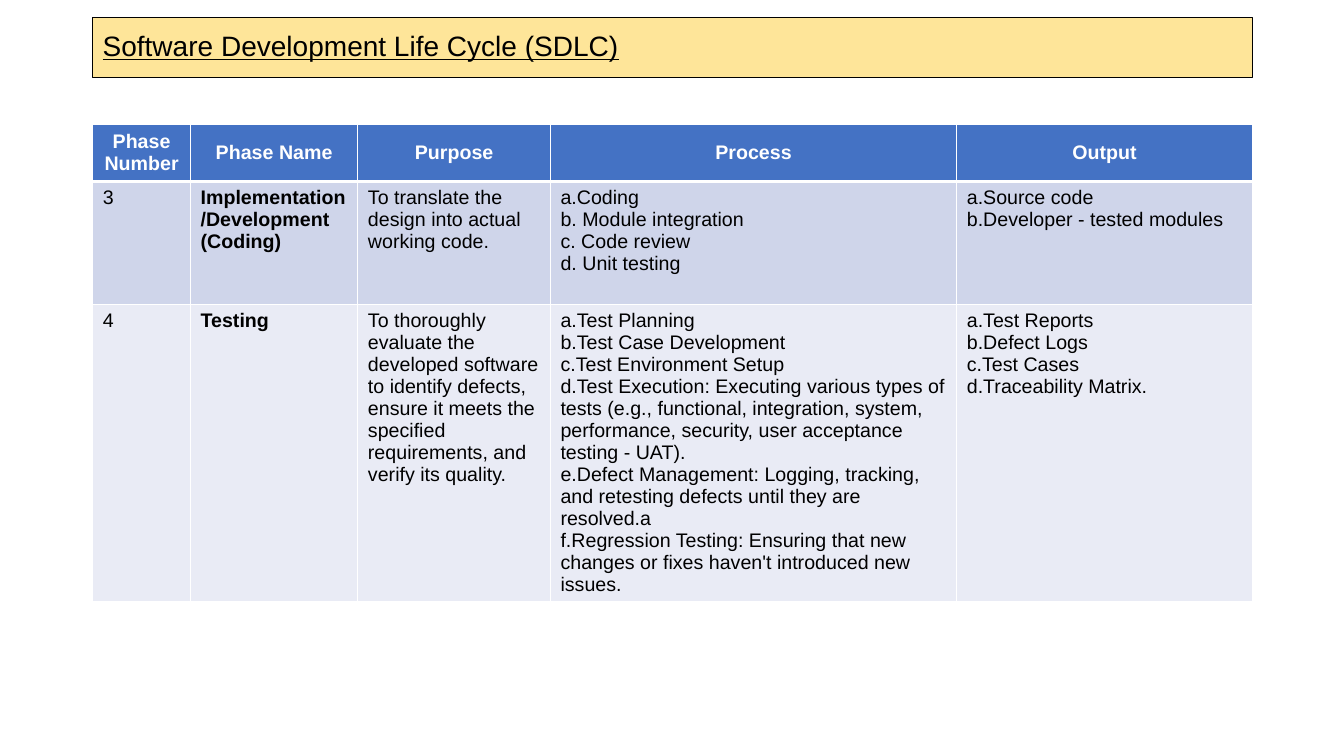
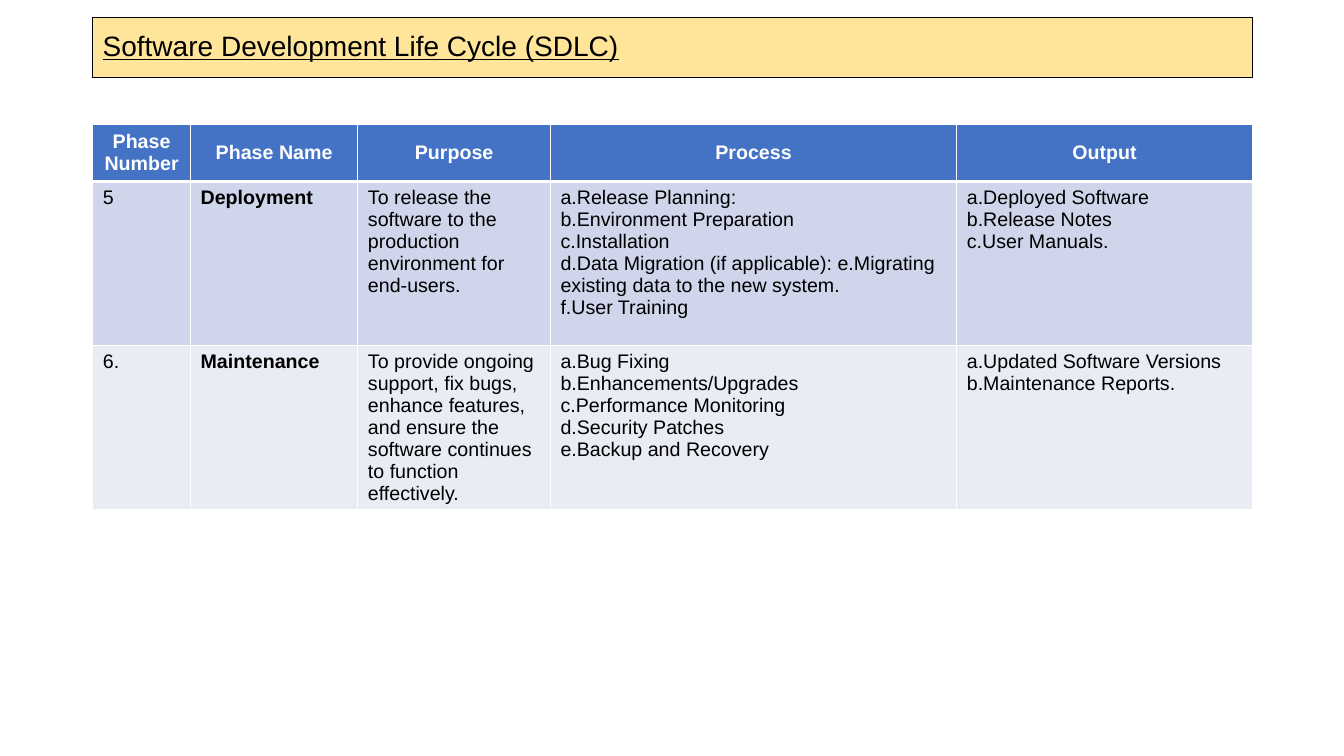
from lxml import etree
from pptx import Presentation
from pptx.dml.color import RGBColor
from pptx.enum import shapes, text
from pptx.oxml import ns
from pptx.util import Inches, Pt

BLACK = RGBColor(0x00, 0x00, 0x00)
WHITE = RGBColor(0xFF, 0xFF, 0xFF)
BAND_YELLOW = RGBColor(0xFE, 0xE5, 0x99)
HEADER_BLUE = RGBColor(0x44, 0x72, 0xC4)
ROW_TINTS = (RGBColor(0xCF, 0xD5, 0xEA), RGBColor(0xE9, 0xEB, 0xF5))

FONT = "Arial"
LEFT, WIDTH = 0.92, 11.5
COLUMN_WIDTHS = (0.97, 1.66, 1.91, 4.03, 2.93)
HEADER_HEIGHT = 0.57
NAME_COLUMN = 1

TITLE = "Software Development Life Cycle (SDLC)"
HEADINGS = ("Phase Number", "Phase Name", "Purpose", "Process", "Output")

# Each slide lists its phases as (row height, cell texts)
SLIDES = (
    (
        (1.22, (
            "3",
            "Implementation/Development (Coding)",
            "To translate the design into actual working code.",
            "a.Coding\nb. Module integration\nc. Code review\nd. Unit testing",
            "a.Source code\nb.Developer - tested modules",
        )),
        (2.95, (
            "4",
            "Testing",
            "To thoroughly evaluate the developed software to identify defects, "
            "ensure it meets the specified requirements, and verify its quality.",
            "a.Test Planning\nb.Test Case Development\nc.Test Environment Setup\n"
            "d.Test Execution: Executing various types of tests (e.g., functional, "
            "integration, system, performance, security, user acceptance "
            "testing - UAT).\n"
            "e.Defect Management: Logging, tracking, and retesting defects until "
            "they are resolved.a\n"
            "f.Regression Testing: Ensuring that new changes or fixes haven't "
            "introduced new issues.",
            "a.Test Reports\nb.Defect Logs\nc.Test Cases\nd.Traceability Matrix.",
        )),
    ),
    (
        (1.63, (
            "5",
            "Deployment",
            "To release the software to the production environment for end-users.",
            "a.Release Planning:\nb.Environment Preparation\nc.Installation\n"
            "d.Data Migration (if applicable): e.Migrating existing data to the "
            "new system.\nf.User Training",
            "a.Deployed Software\nb.Release Notes\nc.User Manuals.",
        )),
        (1.63, (
            "6.",
            "Maintenance",
            "To provide ongoing support, fix bugs, enhance features, and ensure "
            "the software continues to function effectively.",
            "a.Bug Fixing\nb.Enhancements/Upgrades\nc.Performance Monitoring\n"
            "d.Security Patches\ne.Backup and Recovery",
            "a.Updated Software Versions\nb.Maintenance Reports.",
        )),
    ),
)


def write(frame, content, size=14, color=BLACK, bold=False, underline=False,
          align=text.PP_ALIGN.LEFT, spacing=None):
    """Fill a text frame, one paragraph per line of content."""
    frame.word_wrap = True
    frame.text = content
    for paragraph in frame.paragraphs:
        paragraph.alignment = align
        paragraph.line_spacing = spacing
        font = paragraph.runs[0].font
        font.name, font.size, font.color.rgb = FONT, Pt(size), color
        font.bold, font.underline = bold, underline


def set_borders(cell, top=1, bottom=1):
    """Draw white borders, which must come before the fill in the cell."""
    properties = cell._tc.get_or_add_tcPr()
    sides = (("a:lnL", 1), ("a:lnR", 1), ("a:lnT", top), ("a:lnB", bottom))
    for position, (tag, points) in enumerate(sides):
        line = etree.Element(ns.qn(tag), w=str(Pt(points)))
        fill = etree.SubElement(line, ns.qn("a:solidFill"))
        etree.SubElement(fill, ns.qn("a:srgbClr"), val=str(WHITE))
        properties.insert(position, line)


class Deck:
    """Holds the shared style and the slide being built."""

    def __init__(self):
        self.presentation = Presentation()
        self.presentation.slide_width = Inches(13.33)
        self.presentation.slide_height = Inches(7.5)
        self.slide = None

    def add_slide(self):
        blank = self.presentation.slide_layouts[6]
        self.slide = self.presentation.slides.add_slide(blank)

    def title_band(self, title):
        band = self.slide.shapes.add_shape(
            shapes.MSO_SHAPE.RECTANGLE,
            Inches(LEFT), Inches(0.17), Inches(WIDTH), Inches(0.6))
        band.shadow.inherit = False
        band.fill.solid()
        band.fill.fore_color.rgb = BAND_YELLOW
        band.line.color.rgb = BLACK
        band.line.width = Pt(0.75)
        band.text_frame.vertical_anchor = text.MSO_ANCHOR.MIDDLE
        write(band.text_frame, title, size=20, underline=True, spacing=0.9)

    def cell(self, cell, content, fill, top=1, bottom=1, **text_format):
        cell.fill.solid()
        cell.fill.fore_color.rgb = fill
        set_borders(cell, top, bottom)
        write(cell.text_frame, content, **text_format)

    def phase_table(self, phases):
        heights = [HEADER_HEIGHT] + [height for height, _ in phases]
        table = self.slide.shapes.add_table(
            len(heights), len(HEADINGS), Inches(LEFT), Inches(1.23),
            Inches(WIDTH), Inches(sum(heights))).table
        for column, width in zip(table.columns, COLUMN_WIDTHS):
            column.width = Inches(width)
        for row, height in zip(table.rows, heights):
            row.height = Inches(height)

        # Header row
        for column, heading in enumerate(HEADINGS):
            header = table.cell(0, column)
            header.vertical_anchor = text.MSO_ANCHOR.MIDDLE
            self.cell(header, heading, HEADER_BLUE, bottom=3, color=WHITE,
                      bold=True, align=text.PP_ALIGN.CENTER)

        # Phase rows
        for row, (_, contents) in enumerate(phases, start=1):
            for column, content in enumerate(contents):
                self.cell(table.cell(row, column), content,
                          ROW_TINTS[(row - 1) % len(ROW_TINTS)],
                          top=3 if row == 1 else 1,
                          bold=column == NAME_COLUMN)


def main():
    deck = Deck()
    for phases in SLIDES:
        deck.add_slide()
        deck.title_band(TITLE)
        deck.phase_table(phases)
    deck.presentation.save("out.pptx")


if __name__ == "__main__":
    main()
